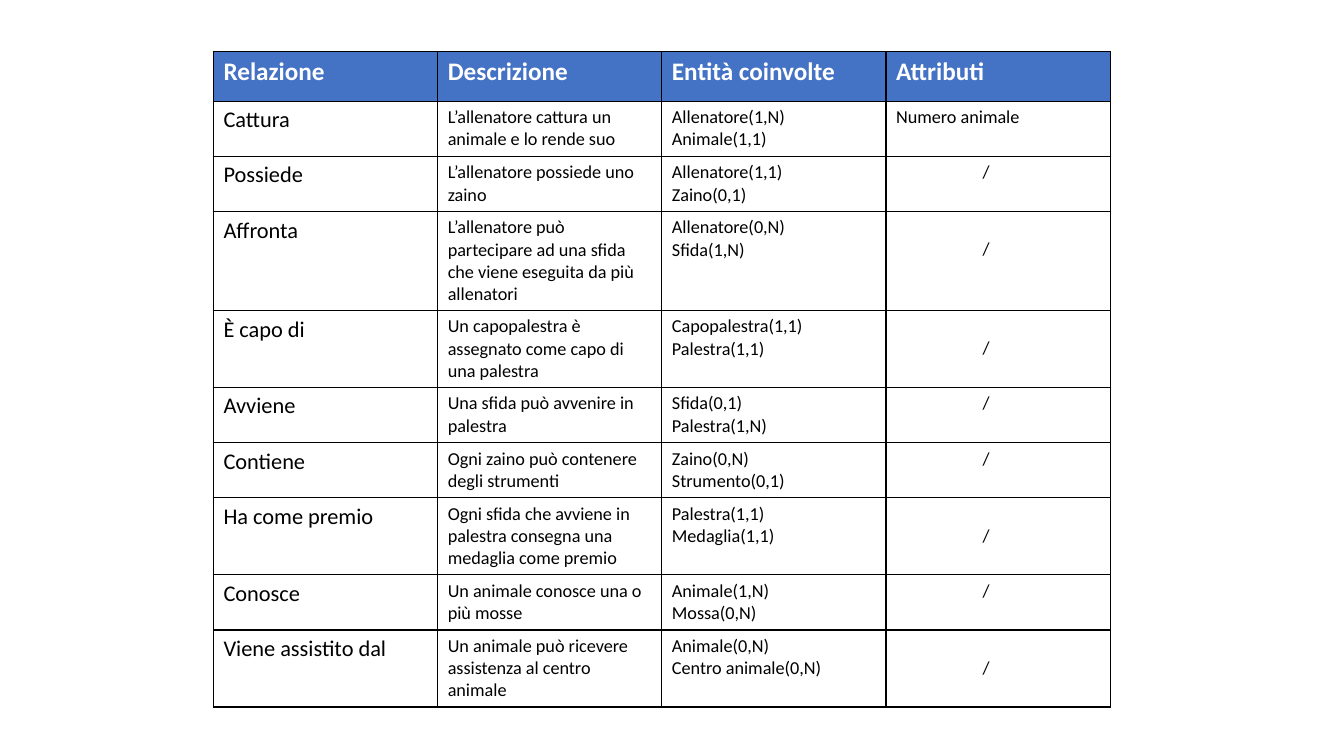
from dataclasses import dataclass

from lxml import etree
from pptx import Presentation
from pptx.dml.color import RGBColor
from pptx.enum.text import MSO_ANCHOR
from pptx.oxml.ns import qn
from pptx.util import Cm, Pt

TOP = MSO_ANCHOR.TOP

HEADINGS = ("Relazione", "Descrizione", "Entità coinvolte", "Attributi")
NONE = "/"

# Relation, description, lines the description takes, entities, attribute
RELATIONS = [
    ("Cattura", "L’allenatore cattura un animale e lo rende suo", 2,
     ("Allenatore(1,N)", "Animale(1,1)"), "Numero animale"),
    ("Possiede", "L’allenatore possiede uno zaino", 2,
     ("Allenatore(1,1)", "Zaino(0,1)"), NONE),
    ("Affronta", "L’allenatore può partecipare ad una sfida che viene eseguita da più allenatori", 4,
     ("Allenatore(0,N)", "Sfida(1,N)"), NONE),
    ("È capo di", "Un capopalestra è assegnato come capo di una palestra", 3,
     ("Capopalestra(1,1)", "Palestra(1,1)"), NONE),
    ("Avviene", "Una sfida può avvenire in palestra", 2,
     ("Sfida(0,1)", "Palestra(1,N)"), NONE),
    ("Contiene", "Ogni zaino può contenere degli strumenti", 2,
     ("Zaino(0,N)", "Strumento(0,1)"), NONE),
    ("Ha come premio", "Ogni sfida che avviene in palestra consegna una medaglia come premio", 3,
     ("Palestra(1,1)", "Medaglia(1,1)"), NONE),
    ("Conosce", "Un animale conosce una o più mosse", 2,
     ("Animale(1,N)", "Mossa(0,N)"), NONE),
    ("Viene assistito dal", "Un animale può ricevere assistenza al centro animale", 3,
     ("Animale(0,N)", "Centro animale(0,N)"), NONE),
]


@dataclass(frozen=True)
class Theme:
    """Colours, font and type sizes of the slide."""
    font: str = "Calibri"
    heading_size: int = 18
    name_size: int = 16
    body_size: int = 13
    heading_fill: str = "4472C4"
    body_fill: str = "FFFFFF"
    heading_text: str = "FFFFFF"
    body_text: str = "000000"
    border: str = "000000"
    border_width: int = 1


THEME = Theme()
SLIDE_SIZE = Cm(33.87), Cm(19.05)
TABLE_LEFT, TABLE_TOP = Cm(5.38), Cm(1.3)
COLUMN_WIDTH = Cm(5.65)
HEADING_HEIGHT = Cm(1.25)
ROW_PADDING, LINE_HEIGHT = Cm(0.29), Cm(0.55)
CELL_MARGIN_TOP = Cm(0.13)
SLASH_INDENT = Cm(2.18)


def row_height(lines):
    """Return the height of a row holding a number of body lines."""
    return ROW_PADDING + lines * LINE_HEIGHT


def add_borders(cell):
    """Draw a solid line on all four sides of a cell."""
    properties = cell._tc.get_or_add_tcPr()
    for position, side in enumerate(("a:lnL", "a:lnR", "a:lnT", "a:lnB")):
        line = etree.Element(qn(side), w=str(Pt(THEME.border_width)))
        fill = etree.SubElement(line, qn("a:solidFill"))
        etree.SubElement(fill, qn("a:srgbClr"), val=THEME.border)
        properties.insert(position, line)


def write_cell(cell, texts, size, heading=False, indent=0, lines_above=0):
    """Style a cell and write one paragraph for each text."""
    cell.fill.solid()
    cell.fill.fore_color.rgb = RGBColor.from_string(
        THEME.heading_fill if heading else THEME.body_fill)
    add_borders(cell)
    cell.vertical_anchor = TOP
    cell.margin_top = CELL_MARGIN_TOP + lines_above * LINE_HEIGHT
    frame = cell.text_frame
    for index, text in enumerate(texts):
        paragraph = frame.add_paragraph() if index else frame.paragraphs[0]
        if indent:
            paragraph._p.get_or_add_pPr().set("marL", str(indent))
        run = paragraph.add_run()
        run.text = text
        run.font.name = THEME.font
        run.font.size = Pt(size)
        run.font.bold = heading
        run.font.color.rgb = RGBColor.from_string(
            THEME.heading_text if heading else THEME.body_text)


def add_relation_table(slide):
    """Add the table of relations to the slide."""
    heights = [HEADING_HEIGHT] + [row_height(relation[2]) for relation in RELATIONS]
    table = slide.shapes.add_table(
        len(heights), len(HEADINGS), TABLE_LEFT, TABLE_TOP,
        COLUMN_WIDTH * len(HEADINGS), sum(heights)).table
    table.horz_banding = False
    for row, height in zip(table.rows, heights):
        row.height = height
    for column, heading in enumerate(HEADINGS):
        write_cell(table.cell(0, column), [heading], THEME.heading_size, heading=True)
    for row, (name, description, lines, entities, attribute) in enumerate(RELATIONS, 1):
        write_cell(table.cell(row, 0), [name], THEME.name_size)
        write_cell(table.cell(row, 1), [description], THEME.body_size)
        write_cell(table.cell(row, 2), entities, THEME.body_size)
        write_cell(table.cell(row, 3), [attribute], THEME.body_size,
                   indent=SLASH_INDENT if attribute == NONE else 0,
                   lines_above=1 if lines > 2 else 0)


def main():
    """Build and save the presentation."""
    presentation = Presentation()
    presentation.slide_width, presentation.slide_height = SLIDE_SIZE
    slide = presentation.slides.add_slide(presentation.slide_layouts[6])
    add_relation_table(slide)
    presentation.save("out.pptx")


main()
